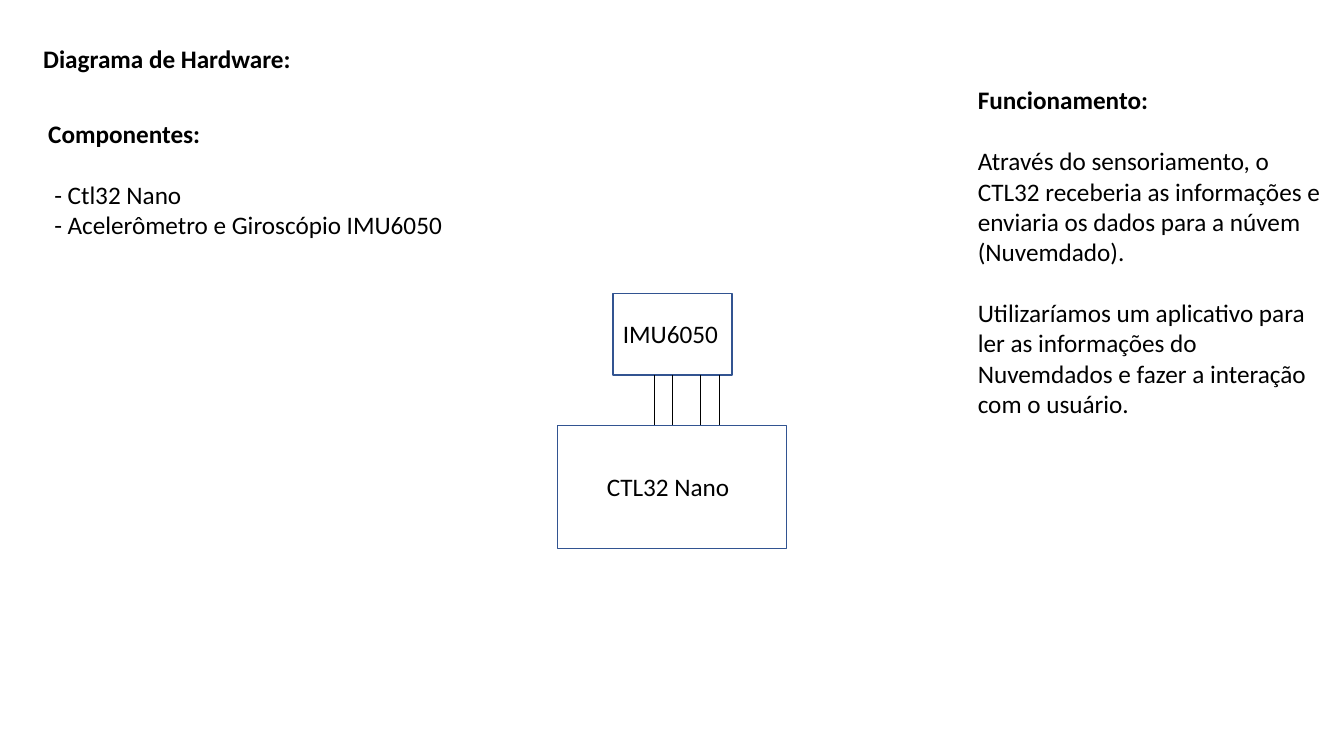
from pptx import Presentation
from pptx.dml.color import RGBColor
from pptx.enum.shapes import MSO_CONNECTOR, MSO_SHAPE
from pptx.oxml.ns import qn
from pptx.util import Inches, Pt
from lxml import etree

BLACK = RGBColor(0x00, 0x00, 0x00)
BLUE = RGBColor(0x32, 0x54, 0x91)
RECTANGLE = MSO_SHAPE.RECTANGLE
STRAIGHT = MSO_CONNECTOR.STRAIGHT
FONT = "Calibri"
BLANK_LINE = 22


def add_text(page, box, *lines, wrap=True):
    frame = page.shapes.add_textbox(*map(Inches, box)).text_frame
    frame.word_wrap = wrap
    for index, line in enumerate(lines):
        para = frame.paragraphs[0] if index == 0 else frame.add_paragraph()
        format_text(para, **line)


def format_text(para, text, bold=False, before=0, indent=0):
    para.space_before = Pt(before)
    if indent:
        para._p.get_or_add_pPr().set("marL", str(Inches(indent)))
    span = para.add_run()
    span.text = text
    span.font.name = FONT
    span.font.size = Pt(18)
    span.font.bold = bold
    span.font.color.rgb = BLACK


def add_block(page, box):
    block = page.shapes.add_shape(RECTANGLE, *map(Inches, box))
    block.shadow.inherit = False
    block.fill.background()
    block.line.color.rgb = BLUE
    block.line.width = Pt(1)


def add_wire(page, x, top, bottom):
    wire = page.shapes.add_connector(
        STRAIGHT, Inches(x), Inches(top), Inches(x), Inches(bottom))
    wire.line.color.rgb = BLACK
    wire.line.width = Pt(0.5)
    etree.SubElement(wire._element.spPr, qn("a:effectLst"))


def add_title(page, box):
    add_text(page, box, dict(text="Diagrama de Hardware:", bold=True), wrap=False)


def add_components(page, box):
    add_text(
        page, box,
        dict(text="Componentes:", bold=True),
        dict(text="- Ctl32 Nano", before=BLANK_LINE, indent=0.06),
        dict(text="- Acelerômetro e Giroscópio IMU6050", indent=0.06),
        wrap=False)


def add_operation(page, box):
    add_text(
        page, box,
        dict(text="Funcionamento:", bold=True),
        dict(text="Através do sensoriamento, o CTL32 receberia as informações e "
                  "enviaria os dados para a núvem (Nuvemdado).", before=BLANK_LINE),
        dict(text="Utilizaríamos um aplicativo para ler as informações do "
                  "Nuvemdados e fazer a interação com o usuário.", before=BLANK_LINE))


def add_diagram(page, box):
    left, top, width, height = box
    sensor_left, sensor_height = left + 0.55, 0.81
    board_height = 1.22
    board_top = top + height - board_height
    add_block(page, (left, board_top, width, board_height))
    add_text(page, (left + 0.39, board_top + 0.41, 1.5, 0.4), dict(text="CTL32 Nano"))
    add_text(page, (sensor_left, top + 0.2, 1.3, 0.4), dict(text="IMU6050"))
    add_block(page, (sensor_left, top, 1.18, sensor_height))
    for pair in (0.41, 0.87):
        for offset in (pair, pair + 0.18):
            add_wire(page, sensor_left + offset, top + sensor_height, board_top)


deck = Presentation()
deck.slide_width = Inches(13.33)
deck.slide_height = Inches(7.5)
page = deck.slides.add_slide(deck.slide_layouts[6])
add_title(page, (0.33, 0.38, 2.68, 0.4))
add_diagram(page, (5.53, 2.91, 2.27, 2.53))
add_components(page, (0.38, 1.12, 4.21, 1.31))
add_operation(page, (9.6, 0.79, 3.6, 3.43))
deck.save("out.pptx")
